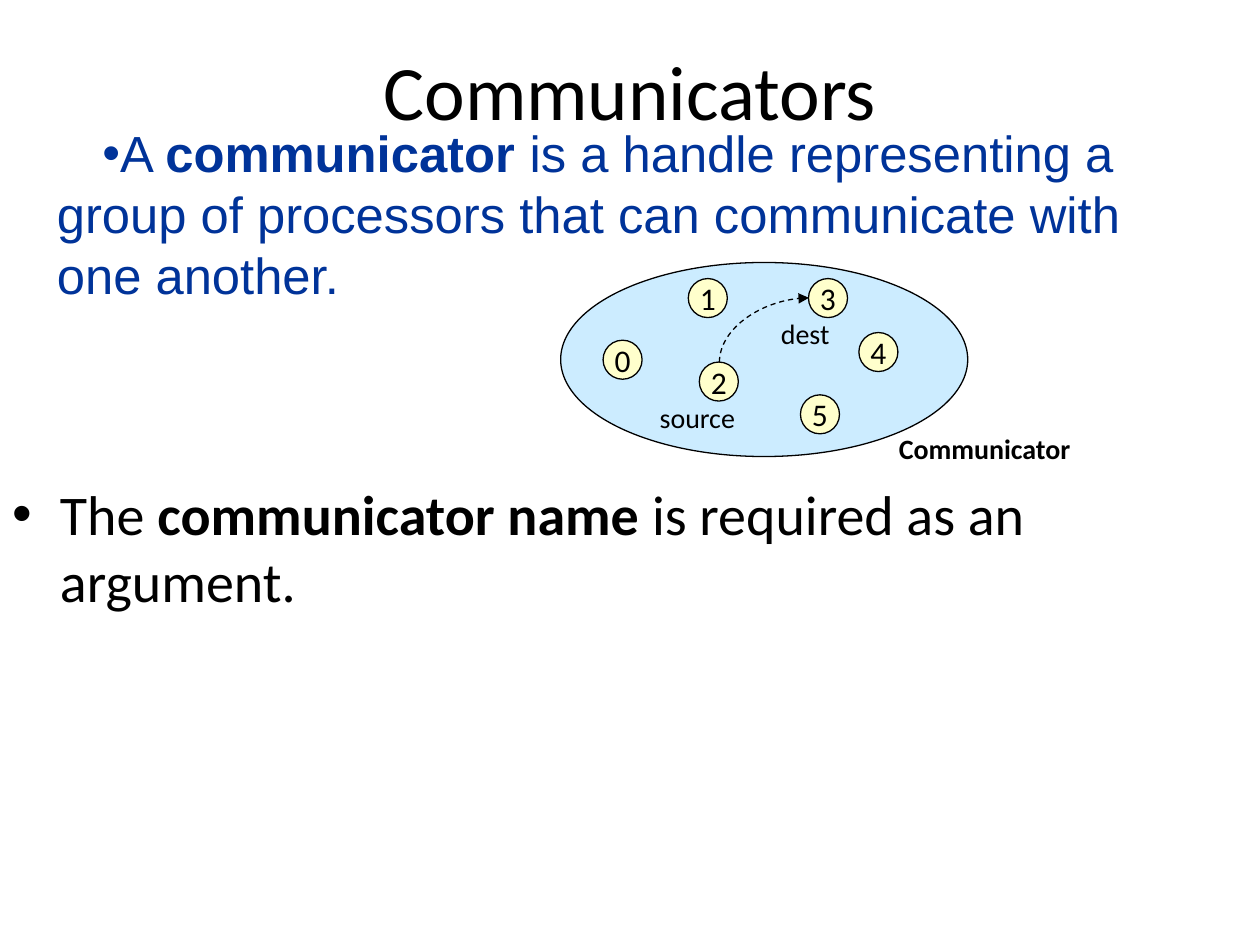
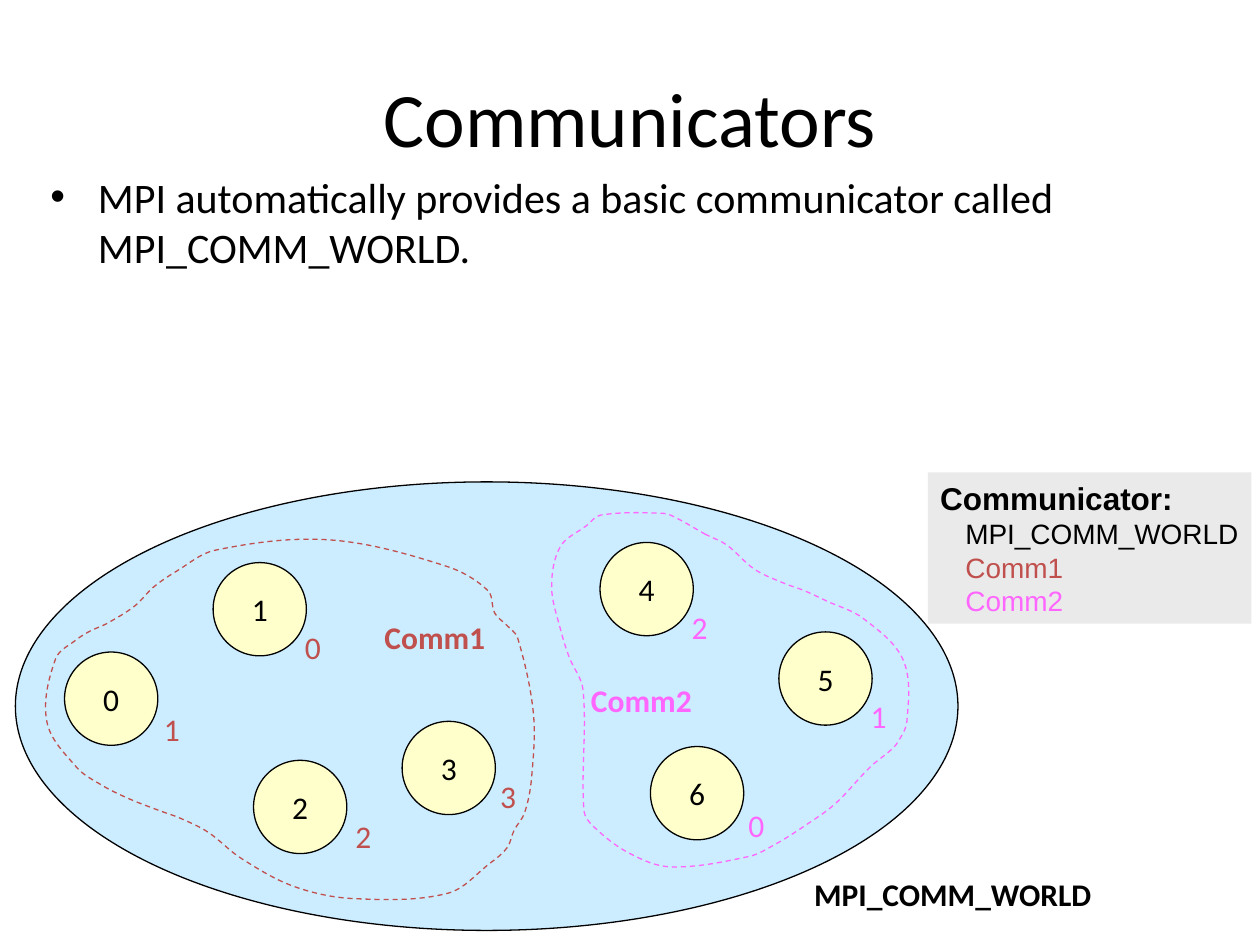
from math import hypot

from lxml import etree
from pptx import Presentation
from pptx.dml.color import RGBColor
from pptx.enum import dml, shapes, text
from pptx.oxml.ns import qn
from pptx.util import Pt

BLACK, NAVY, SKY, CREAM, GREY = "000000", "003399", "CCECFF", "FFFFCC", "EAEAEA"
RED, PINK = "C0504D", "FF66FF"
CENTER, LEFT = text.PP_ALIGN.CENTER, text.PP_ALIGN.LEFT
MIDDLE, TOP = text.MSO_ANCHOR.MIDDLE, text.MSO_ANCHOR.TOP


def color(value):
    return RGBColor.from_string(value)


def points(*lengths):
    return [Pt(length) for length in lengths]


def add_run(paragraph, words, size, hue=BLACK, font="Calibri", bold=False):
    run = paragraph.add_run()
    run.text = words
    for name, value in {"name": font, "size": Pt(size), "bold": bold}.items():
        setattr(run.font, name, value)
    run.font.color.rgb = color(hue)


def set_frame(frame, wrap, anchor=TOP):
    settings = {"word_wrap": wrap, "vertical_anchor": anchor, "auto_size": text.MSO_AUTO_SIZE.NONE}
    for name, value in settings.items():
        setattr(frame, name, value)


def set_line(line, hue=BLACK, dashed=False):
    line.color.rgb = color(hue)
    line.width = Pt(0.75)
    if dashed:
        line.dash_style = dml.MSO_LINE.DASH


def add_filled(parent, preset, box, fill, outlined=True):
    shape = parent.add_shape(preset, *points(*box))
    shape.shadow.inherit = False
    shape.fill.solid()
    shape.fill.fore_color.rgb = color(fill)
    if outlined:
        set_line(shape.line)
    else:
        shape.line.fill.background()
    return shape


def add_slide(presentation, title_top):
    slide = presentation.slides.add_slide(presentation.slide_layouts[5])
    title = slide.shapes.title
    box = dict(zip(("left", "top", "width", "height"), points(36, title_top, 648, 90)))
    for name, value in box.items():
        setattr(title, name, value)
    set_frame(title.text_frame, True, MIDDLE)
    paragraph = title.text_frame.paragraphs[0]
    paragraph.alignment = CENTER
    add_run(paragraph, "Communicators", 44)
    return slide


def add_bullet(slide, box, runs, size, margin=27.2, indent=-27.2, **style):
    """Add one bulleted paragraph; runs are (words, bold) pairs."""
    frame = slide.shapes.add_textbox(*points(*box)).text_frame
    set_frame(frame, True)
    paragraph = frame.paragraphs[0]
    paragraph.space_before = Pt(size * 0.2)
    properties = paragraph._p.get_or_add_pPr()
    properties.set("marL", str(Pt(margin)))
    properties.set("indent", str(Pt(indent)))
    etree.SubElement(properties, qn("a:buFont")).set("typeface", "Arial")
    etree.SubElement(properties, qn("a:buChar")).set("char", "•")
    for words, bold in runs:
        add_run(paragraph, words, size, bold=bold, **style)


def add_label(parent, words, box, size=18, hue=BLACK, bold=False, align=CENTER):
    frame = parent.add_textbox(*points(*box)).text_frame
    set_frame(frame, False)
    frame.paragraphs[0].alignment = align
    add_run(frame.paragraphs[0], words, size, hue, bold=bold)


def add_processors(parent, left, top, diameter, places):
    """Add numbered circles, counting from 0 in the order of places."""
    for number, (x, y) in enumerate(places):
        box = (left + x, top + y, diameter, diameter)
        frame = add_filled(parent, shapes.MSO_SHAPE.OVAL, box, CREAM).text_frame
        set_frame(frame, False, MIDDLE)
        frame.paragraphs[0].alignment = CENTER
        add_run(frame.paragraphs[0], str(number), 18)


def add_message_arrow(parent, left, top, width, height):
    """Add a dashed quarter curve rising to the right; the box is given before its turn."""
    arrow = parent.add_connector(shapes.MSO_CONNECTOR.CURVE,
                                 *points(left, top, left + width, top + height))
    set_line(arrow.line, dashed=True)
    properties = arrow._element.spPr
    properties.find(qn("a:xfrm")).set("rot", str(270 * 60000))
    properties.find(qn("a:prstGeom")).set("prst", "curvedConnector2")
    etree.SubElement(properties.find(qn("a:ln")), qn("a:tailEnd")).set("type", "triangle")
    etree.SubElement(properties, qn("a:effectLst"))


def round_sides(outline):
    """Turn the straight sides of a closed freeform into curves that meet smoothly."""
    sides = list(outline._element.iter(qn("a:lnTo")))
    ends = [(int(side[0].get("x")), int(side[0].get("y"))) for side in sides]
    count = len(ends)

    def direction(index):
        (x0, y0), (x1, y1) = ends[index - 1], ends[(index + 1) % count]
        length = hypot(x1 - x0, y1 - y0)
        return (x1 - x0) / length, (y1 - y0) / length

    for index, side in enumerate(sides):
        start, end = ends[index - 1], ends[index]
        reach = hypot(end[0] - start[0], end[1] - start[1]) / 3
        leave, arrive = direction((index - 1) % count), direction(index)
        controls = [(start[0] + reach * leave[0], start[1] + reach * leave[1]),
                    (end[0] - reach * arrive[0], end[1] - reach * arrive[1]), end]
        curve = etree.Element(qn("a:cubicBezTo"))
        for x, y in controls:
            point = etree.SubElement(curve, qn("a:pt"))
            point.set("x", str(round(x)))
            point.set("y", str(round(y)))
        side.getparent().replace(side, curve)


def add_subgroup(parent, left, top, group):
    """Add the dashed outline, the name and the local ranks of a communicator."""
    x, y = group["origin"]
    anchors = [points(left + x + dx, top + y + dy) for dx, dy in group["outline"]]
    builder = parent.build_freeform(*anchors[0], scale=1.0)
    builder.add_line_segments(anchors[1:] + anchors[:1], close=True)
    outline = builder.convert_to_shape()
    round_sides(outline)
    outline.shadow.inherit = False
    outline.fill.background()
    set_line(outline.line, group["hue"], dashed=True)

    x, y = group["name_at"]
    add_label(parent, group["name"], (left + x, top + y, 80.6, 28.8),
              hue=group["hue"], bold=True, align=LEFT)
    for rank, (x, y) in enumerate(group["ranks"]):
        add_label(parent, str(rank), (left + x, top + y, 24.5, 28.8),
                  hue=group["hue"], align=LEFT)


def add_message_diagram(slide, left, top, width, height):
    parent = slide.shapes.add_group_shape().shapes
    add_filled(parent, shapes.MSO_SHAPE.OVAL, (left, top, width, height), SKY)
    add_processors(parent, left, top, 22.3, [
        (24.2, 44.4), (72.9, 9.2), (79.2, 56.9), (141.6, 9.2), (170.4, 40), (137, 75.6)])
    add_message_arrow(parent, left + 97.9, top + 13, 36.7, 51.1)
    for words, x, y, label_width, bold in [("Communicator", 178.6, 92.9, 127.4, True),
                                           ("source", 46.8, 75.6, 62.6, False),
                                           ("dest", 117.4, 27.4, 44.6, False)]:
        add_label(parent, words, (left + x, top + y, label_width, 26.6), 16, bold=bold)


COMM1 = {
    "name": "Comm1", "hue": RED, "origin": (13, 33.1), "name_at": (203.8, 74.2),
    "ranks": [(158.4, 79.9), (77.8, 126.7), (187.2, 187.9), (270, 164.9)],
    "outline": [
        (257, 29), (233, 15), (166, 0), (101, 6), (79, 18), (66, 27), (55, 38), (39, 48),
        (30, 52), (22, 57), (10, 68), (5, 104), (22, 130), (36, 140), (52, 148), (70, 155),
        (81, 159), (97, 167), (116, 182), (146, 198), (180, 205), (234, 202),
        (258, 185), (268, 176), (272, 166), (278, 156), (282, 136), (283, 99), (274, 56),
        (268, 49), (261, 42)],
}
COMM2 = {
    "name": "Comm2", "hue": PINK, "origin": (302.4, 18), "name_at": (321.8, 110.2),
    "ranks": [(411.8, 181.4), (481.7, 119.5), (379.4, 68.4)],
    "outline": [
        (92, 12), (76, 3), (68, 0), (32, 1), (24, 7), (9, 19), (4, 42), (9, 66),
        (14, 82), (22, 101), (22.5, 170), (28, 179), (48, 194), (72, 202), (117, 196),
        (132, 189), (148, 179), (166, 166), (186, 145), (197, 136), (201, 132), (207, 119),
        (205, 84), (182, 60), (161, 50), (148, 44), (137, 40), (120, 32), (104, 18)],
}


def add_world_diagram(slide, left, top, width, height):
    parent = slide.shapes.add_group_shape().shapes
    add_filled(parent, shapes.MSO_SHAPE.OVAL, (left, top, width, height), SKY)
    add_processors(parent, left, top, 53.3, [
        (28.1, 97.2), (113, 46.1), (136.1, 159.1), (221, 136.8),
        (334.1, 34.6), (436.3, 85.7), (362.9, 151.2)])
    add_label(parent, "MPI_COMM_WORLD", (left + 439.9, top + 221, 191.5, 28.8), bold=True)
    for group in (COMM1, COMM2):
        add_subgroup(parent, left, top, group)


def add_legend(slide, box):
    panel = add_filled(slide.shapes, shapes.MSO_SHAPE.RECTANGLE, box, GREY, outlined=False)
    frame = panel.text_frame
    set_frame(frame, False)
    heading = frame.paragraphs[0]
    heading.alignment = LEFT
    add_run(heading, "Communicator:", 18, font="Arial", bold=True)
    for name, hue in [("MPI_COMM_WORLD", BLACK), ("Comm1", RED), ("Comm2", PINK)]:
        entry = frame.add_paragraph()
        entry.alignment = LEFT
        entry._p.get_or_add_pPr().set("marL", str(Pt(14.4)))
        add_run(entry, name, 16, hue, font="Arial")


def build_definition_slide(presentation):
    slide = add_slide(presentation, 6.2)
    add_bullet(slide, (0, 270.2, 700.6, 90), [
        ("The ", False), ("communicator name", True),
        (" is required as an argument.", False)], 32)
    add_bullet(slide, (25.4, 66.2, 670.3, 113), [
        ("A ", False), ("communicator", True),
        (" is a handle representing a group of processors that can communicate "
         "with one another.", False)], 29, margin=0, indent=26, hue=NAVY, font="Arial")
    add_message_diagram(slide, 320.4, 150, 232.6, 110.9)


def build_world_slide(presentation):
    slide = add_slide(presentation, 21.6)
    add_bullet(slide, (21.7, 94.3, 681.1, 371.5), [
        ("MPI automatically provides a basic communicator called MPI_COMM_WORLD.", False)], 24)
    add_world_diagram(slide, 8.8, 275.4, 538.6, 256.3)
    add_legend(slide, (530.2, 270, 185, 86.4))


def main():
    presentation = Presentation()
    presentation.slide_width, presentation.slide_height = points(720, 540)
    build_definition_slide(presentation)
    build_world_slide(presentation)
    presentation.save("out.pptx")


if __name__ == "__main__":
    main()
